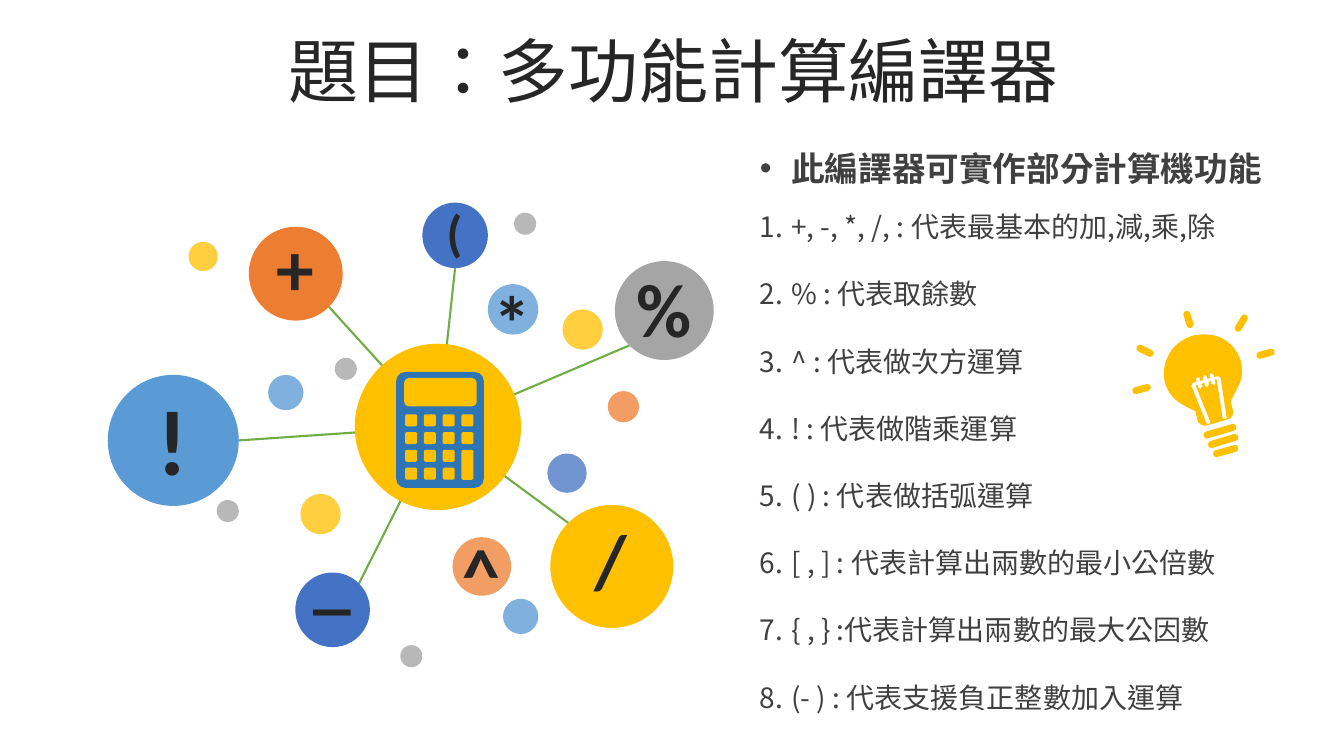
from dataclasses import dataclass
from math import atan2, cos, pi, radians, sin
from typing import Optional

from lxml import etree
from pptx import Presentation
from pptx.dml.color import RGBColor
from pptx.enum.shapes import MSO_CONNECTOR, MSO_SHAPE
from pptx.enum.text import MSO_ANCHOR, MSO_AUTO_SIZE, PP_ALIGN
from pptx.oxml.ns import qn
from pptx.util import Pt

OVAL = MSO_SHAPE.OVAL
ROUNDED = MSO_SHAPE.ROUNDED_RECTANGLE
STRAIGHT = MSO_CONNECTOR.STRAIGHT
CENTER = PP_ALIGN.CENTER
MIDDLE = MSO_ANCHOR.MIDDLE
NO_FIT = MSO_AUTO_SIZE.NONE

COLORS = {
    "title": "262626", "text": "404040", "white": "FFFFFF", "spoke": "70AD47",
    "gold": "FFC000", "grey": "A5A5A5", "navy": "4472C4", "sky": "5B9BD5",
    "orange": "ED7D31", "calculator": "2E75B6",
}
OPACITY = {"gold": 75, "orange": 75, "navy": 75, "sky": 78, "grey": 78}
LATIN = "Calibri"
CJK = "Noto Sans CJK SC"

HUB = (312.8, 304.9)
HUB_DIAMETER = 118.8


@dataclass
class Operator:
    """Bubble with a symbol; spoke is the angle on its rim where the line to the hub ends."""
    symbol: str
    x: float
    y: float
    diameter: float
    color: str
    label_top: float
    spoke: Optional[float] = None
    size: float = 54
    label_width: float = 42


OPERATORS = [
    Operator("/", 437, 404.6, 87.8, "gold", 362.9, 225),
    Operator("_", 237.6, 435.6, 53.3, "navy", 375.1, -45),
    Operator("!", 123.8, 314.6, 93.6, "sky", 270, 0, 66, 45.4),
    Operator("+", 211.3, 195.5, 67, "orange", 154.1, 45),
    Operator("(", 325.1, 168.1, 46.8, "navy", 140.4, 90, 36, 33.8),
    Operator("%", 474.5, 221.8, 70.6, "grey", 183.6, 135, 54, 54),
    Operator("^", 344.2, 404.6, 41.8, "orange", 373),
    Operator("*", 366.5, 221, 36, "sky", 193),
]
DOTS = [  # centre x, centre y, diameter, colour
    (229, 367.2, 28.8, "gold"), (416.2, 235.4, 28.8, "gold"), (145.1, 183.2, 20.9, "gold"),
    (445.3, 290.5, 22.3, "orange"), (405, 338, 28.1, "navy"),
    (204.1, 280.4, 25.2, "sky"), (371.9, 440.3, 25.2, "sky"),
    (247, 263.5, 15.8, "grey"), (375.1, 159.8, 15.8, "grey"),
    (293.8, 468.7, 15.8, "grey"), (162.7, 365, 15.8, "grey"),
]
FEATURES = [
    " +, -, *, /, : 代表最基本的加,減,乘,除",
    " % : 代表取餘數",
    " ^ : 代表做次方運算",
    " ! : 代表做階乘運算",
    " ( ) : 代表做括弧運算",
    " [ , ] : 代表計算出兩數的最小公倍數",
    " { , } :代表計算出兩數的最大公因數",
    " (- ) : 代表支援負正整數加入運算",
]
BULB_START = (851.8, 239.8)
BULB_OUTLINE = [  # two numbers: straight to a point; six: cubic curve
    (859, 238.3, 866.2, 238.3, 873.4, 241.9), (886.3, 249.1, 891.4, 265, 883.4, 277.9),
    (879.1, 286.6), (880.6, 293), (881.3, 295.9, 879.8, 298.8, 877, 299.5),
    (862.6, 303.8), (859.7, 304.6, 856.1, 303.1, 855.4, 300.2), (853.9, 293.8),
    (845.3, 289.4), (831.6, 282.2, 827.3, 266.4, 835.2, 252.7),
    (838.8, 246.2, 845.3, 241.9, 851.8, 239.8),
]
BULB_BARS = [  # end centres of the screw base, then of the rays
    (869, 324, 882, 320.4), (865.4, 317.5, 882, 312.5), (862.2, 310.7, 880.6, 305.3),
    (811.4, 279, 819.4, 276.8), (900, 253.8, 907.9, 251.6), (888.8, 227.2, 884.5, 234.4),
    (814.3, 248.8, 821.5, 252.4), (847.8, 224.6, 850, 231.8),
]
BAR_THICKNESS = 5
FILAMENT = [
    (855.4, 269.3), (854.3, 270.7), (854.6, 272.9), (851.8, 273.6), (851, 275.8),
    (861.8, 302.4), (863.3, 303.1), (864.7, 301.7), (853.9, 275), (855.4, 275),
    (856.1, 277.2), (857.5, 277.9), (859, 275.8), (858.2, 274.3), (860.4, 273.6),
    (860.4, 275.8), (862.6, 276.5), (863.3, 275), (863.3, 272.9), (864.7, 272.2),
    (865.4, 274.3), (867.6, 275), (868.3, 273.6), (867.6, 271.4), (869, 270.7),
    (873.4, 298.8), (875.5, 299.5), (876.2, 298.1), (871.9, 270), (869.8, 268.6),
    (866.9, 269.3), (866.9, 267.8), (864.7, 266.4), (864, 268.6), (864.7, 270),
    (862.6, 270.7), (861.8, 268.6), (860.4, 267.8), (859, 270), (859.7, 271.4),
    (857.5, 272.2), (856.8, 270),
]


def rgb(color):
    return RGBColor.from_string(COLORS[color])


def paint(shape, color, opacity=100):
    shape.shadow.inherit = False
    shape.line.fill.background()
    shape.fill.solid()
    shape.fill.fore_color.rgb = rgb(color)
    if opacity < 100:
        srgb = shape.fill._xPr.find(".//" + qn("a:srgbClr"))
        etree.SubElement(srgb, qn("a:alpha")).set("val", str(opacity * 1000))


def add_circle(shapes, x, y, diameter, color, opacity=100):
    circle = shapes.add_shape(OVAL, Pt(x - diameter / 2), Pt(y - diameter / 2),
                              Pt(diameter), Pt(diameter))
    paint(circle, color, opacity)


def add_rounded(shapes, left, top, width, height, color, radius):
    box = shapes.add_shape(ROUNDED, Pt(left), Pt(top), Pt(width), Pt(height))
    box.adjustments[0] = radius / min(width, height)
    paint(box, color)


def add_run(paragraph, text, size, color, font, bold=False):
    run = paragraph.add_run()
    run.text = text
    run.font.size = Pt(size)
    run.font.bold = bold
    run.font.name = font
    run.font.color.rgb = rgb(color)
    properties = run.font._element
    properties.set("lang", "zh-TW")
    etree.SubElement(properties, qn("a:ea")).set("typeface", CJK)
    return run


def add_text_box(shapes, left, top, width, height, wrap=True):
    frame = shapes.add_textbox(Pt(left), Pt(top), Pt(width), Pt(height)).text_frame
    frame.word_wrap = wrap
    return frame


def set_bullet(paragraph, indent, tag, attribute, value):
    properties = paragraph._p.get_or_add_pPr()
    properties.set("marL", str(Pt(indent)))
    properties.set("indent", str(-Pt(indent)))
    if tag == "a:buChar":
        etree.SubElement(properties, qn("a:buFont")).set("typeface", "Arial")
    etree.SubElement(properties, qn(tag)).set(attribute, value)


def add_title(slide):
    title = slide.shapes.title
    title.left, title.top, title.width, title.height = Pt(25.2), Pt(26.6), Pt(911.5), Pt(56.9)
    frame = title.text_frame
    frame.auto_size = NO_FIT
    frame.vertical_anchor = MIDDLE
    paragraph = frame.paragraphs[0]
    paragraph.alignment = CENTER
    paragraph.line_spacing = 0.8
    paragraph.space_before = Pt(10)
    add_run(paragraph, "題目：多功能計算編譯器", 50, "title", LATIN)


def add_features(shapes):
    heading = add_text_box(shapes, 535.7, 102.2, 391.7, 36).paragraphs[0]
    set_bullet(heading, 22.5, "a:buChar", "char", "•")
    add_run(heading, "此編譯器可實作部分計算機功能", 24, "text", CJK, bold=True)

    frame = add_text_box(shapes, 535.7, 146.2, 419, 390)
    for number, feature in enumerate(FEATURES):
        paragraph = frame.add_paragraph() if number else frame.paragraphs[0]
        paragraph.line_spacing = Pt(24)
        paragraph.space_after = Pt(24)
        set_bullet(paragraph, 18, "a:buAutoNum", "type", "arabicPeriod")
        add_run(paragraph, feature, 20, "text", CJK)


def add_spoke(shapes, operator):
    angle, radius = radians(operator.spoke), operator.diameter / 2
    spoke = shapes.add_connector(STRAIGHT, Pt(HUB[0]), Pt(HUB[1]),
                                 Pt(operator.x + radius * cos(angle)),
                                 Pt(operator.y + radius * sin(angle)))
    spoke.line.color.rgb = rgb("spoke")
    spoke.line.width = Pt(1.5)
    etree.SubElement(spoke._element.spPr, qn("a:effectLst"))


def add_symbol(shapes, operator):
    width = operator.label_width
    frame = add_text_box(shapes, operator.x - 0.4 - width / 2, operator.label_top,
                         width, operator.size * 1.22 + 7.2, wrap=False)
    paragraph = frame.paragraphs[0]
    paragraph.alignment = CENTER
    run = add_run(paragraph, operator.symbol, operator.size, "title", LATIN, bold=True)
    outline = etree.Element(qn("a:ln"), w=str(Pt(1.06)))
    fill = etree.SubElement(outline, qn("a:solidFill"))
    etree.SubElement(fill, qn("a:srgbClr")).set("val", COLORS["white"])
    run.font._element.insert(0, outline)


def add_calculator(shapes):
    parts = shapes.add_group_shape().shapes
    add_rounded(parts, 283, 265.7, 62.6, 82.8, "calculator", 6.5)
    add_rounded(parts, 288.7, 270, 51.8, 20.2, "gold", 3.5)
    for row in range(4):
        for column in range(4):
            if (row, column) == (3, 3):
                continue
            tall = (row, column) == (2, 3)
            add_rounded(parts, 289.4 + 13.4 * column, 295.9 + 12.7 * row,
                        8.6, 21.4 if tall else 8.6, "gold", 1.4)


def curve_points(start, segments):
    points = [start]
    for segment in segments:
        if len(segment) == 2:
            points.append(segment)
            continue
        controls = [points[-1], segment[:2], segment[2:4], segment[4:]]
        for t in (step / 12 for step in range(1, 13)):
            weights = ((1 - t) ** 3, 3 * t * (1 - t) ** 2, 3 * t * t * (1 - t), t ** 3)
            points.append(tuple(sum(w * c[axis] for w, c in zip(weights, controls))
                                for axis in (0, 1)))
    return points


def bar_points(x1, y1, x2, y2):
    """Outline of a bar with round ends."""
    heading, radius = atan2(y2 - y1, x2 - x1), BAR_THICKNESS / 2
    return [(x + radius * cos(turn + pi * step / 8), y + radius * sin(turn + pi * step / 8))
            for x, y, turn in ((x2, y2, heading - pi / 2), (x1, y1, heading + pi / 2))
            for step in range(9)]


def add_bulb(shapes):
    """One outline; the filament is a hole in the glass."""
    contours = [curve_points(BULB_START, BULB_OUTLINE), FILAMENT]
    contours += [bar_points(*ends) for ends in BULB_BARS]
    builder = None
    for contour in contours:
        start, *rest = [(Pt(x), Pt(y)) for x, y in contour]
        if builder is None:
            builder = shapes.build_freeform(*start)
        else:
            builder.move_to(*start)
        builder.add_line_segments(rest, close=True)
    paint(builder.convert_to_shape(), "gold")


def main():
    prs = Presentation()
    prs.slide_width, prs.slide_height = Pt(960), Pt(540)
    slide = prs.slides.add_slide(prs.slide_layouts[5])
    shapes = slide.shapes
    add_title(slide)
    add_features(shapes)
    for operator in OPERATORS:
        if operator.spoke is not None:
            add_spoke(shapes, operator)
    add_circle(shapes, *HUB, HUB_DIAMETER, "gold")
    for operator in OPERATORS:
        opacity = OPACITY[operator.color] if operator.spoke is None else 100
        add_circle(shapes, operator.x, operator.y, operator.diameter, operator.color, opacity)
    for x, y, diameter, color in DOTS:
        add_circle(shapes, x, y, diameter, color, OPACITY[color])
    add_calculator(shapes)
    for operator in OPERATORS:
        add_symbol(shapes, operator)
    add_bulb(shapes)
    prs.save("out.pptx")


if __name__ == "__main__":
    main()
